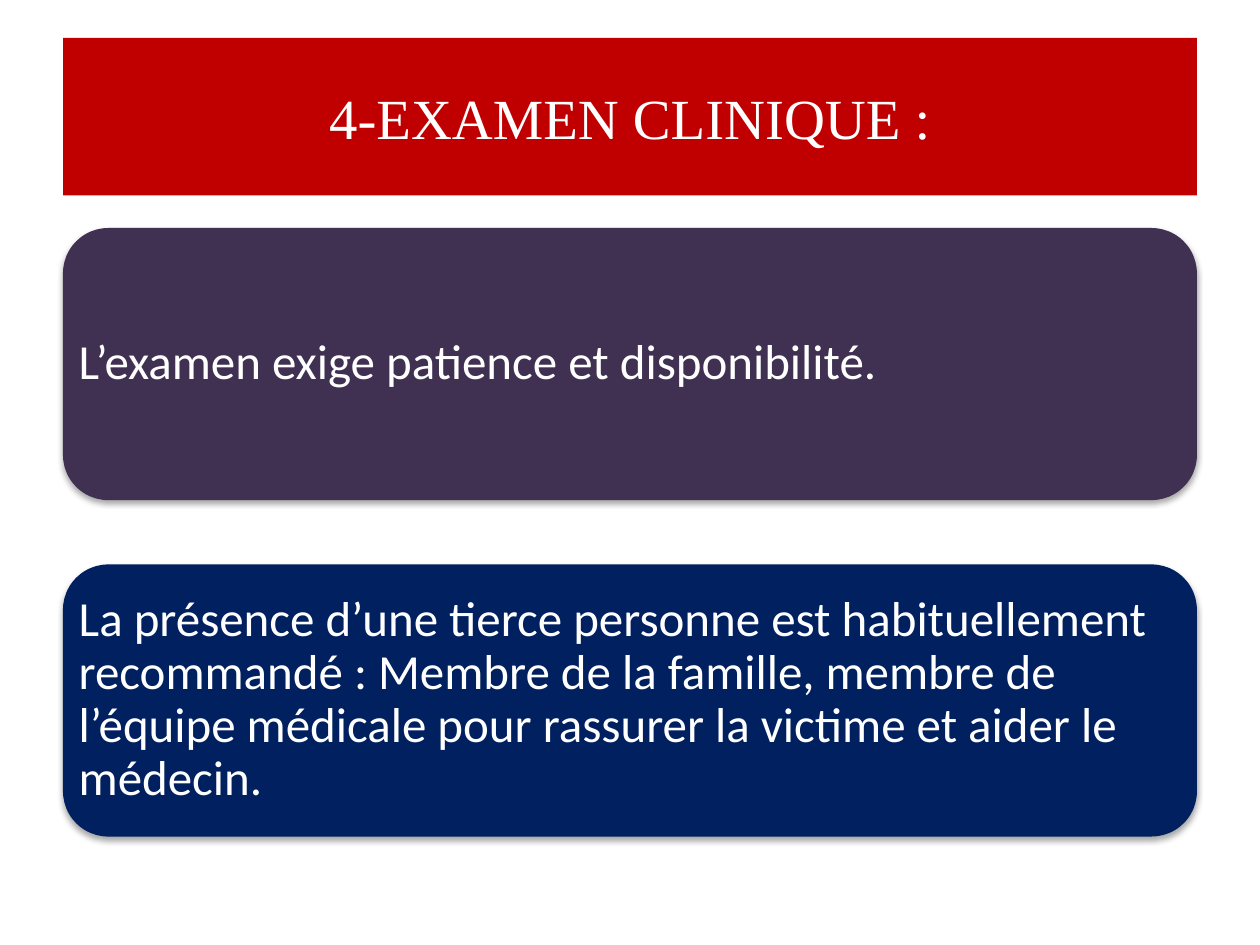
from lxml import etree
from pptx import Presentation
from pptx.dml.color import RGBColor
from pptx.enum.shapes import MSO_SHAPE
from pptx.enum.text import MSO_ANCHOR, PP_ALIGN
from pptx.oxml.ns import qn
from pptx.util import Inches, Pt

ROUNDED = MSO_SHAPE.ROUNDED_RECTANGLE
MIDDLE = MSO_ANCHOR.MIDDLE
LEFT, CENTER = PP_ALIGN.LEFT, PP_ALIGN.CENTER

MARGIN, CONTENT_WIDTH = 0.5, 9
CARD_TOP, CARD_HEIGHT, CARD_GAP = 1.81, 2.16, 0.51
CARDS = [
    ("L’examen exige patience et disponibilité.", "403152"),
    ("La présence d’une tierce personne est habituellement recommandé : "
     "Membre de la famille, membre de l’équipe médicale pour rassurer "
     "la victime et aider le médecin.", "002060"),
]


def color(hex_string):
    return RGBColor.from_string(hex_string)


def write(frame, text, *, font, size, ink="FFFFFF", align=LEFT, spacing=1.0):
    frame.word_wrap = True
    frame.vertical_anchor = MIDDLE
    paragraph = frame.paragraphs[0]
    paragraph.alignment = align
    paragraph.line_spacing = spacing
    run = paragraph.add_run()
    run.text = text
    run.font.name = font
    run.font.size = Pt(size)
    run.font.color.rgb = color(ink)


def add_soft_shadow(shape):
    """Replace the theme shadow with a soft black one falling straight down."""
    shape.shadow.inherit = False
    effects = shape._element.spPr.find(qn("a:effectLst"))
    shadow = etree.SubElement(
        effects, qn("a:outerShdw"), blurRad=str(Pt(3.1)), dist=str(Pt(1.8)),
        dir="5400000", rotWithShape="0")
    black = etree.SubElement(shadow, qn("a:srgbClr"), val="000000")
    etree.SubElement(black, qn("a:alpha"), val="35000")


class SlideBuilder:
    title_font = "Times New Roman"
    body_font = "Calibri"

    def __init__(self, slide):
        self.slide = slide

    def title(self, text, top, height, fill):
        banner = self.slide.shapes.title
        banner.left, banner.top = Inches(MARGIN), Inches(top)
        banner.width, banner.height = Inches(CONTENT_WIDTH), Inches(height)
        banner.fill.solid()
        banner.fill.fore_color.rgb = color(fill)
        write(banner.text_frame, text, font=self.title_font, size=32.4,
              align=CENTER)

    def card(self, text, top, fill):
        card = self.slide.shapes.add_shape(
            ROUNDED, Inches(MARGIN), Inches(top),
            Inches(CONTENT_WIDTH), Inches(CARD_HEIGHT))
        card.fill.solid()
        card.fill.fore_color.rgb = color(fill)
        card.line.fill.background()
        add_soft_shadow(card)
        frame = card.text_frame
        # The rounded corners already inset the text by about 0.1 inch.
        frame.margin_left = frame.margin_right = Inches(0.02)
        frame.margin_top = frame.margin_bottom = Inches(0.02)
        write(frame, text, font=self.body_font, size=28, spacing=0.9)


def main():
    deck = Presentation()
    deck.slide_width, deck.slide_height = Inches(10), Inches(7.5)
    title_only = deck.slide_layouts[5]
    builder = SlideBuilder(deck.slides.add_slide(title_only))

    builder.title("4-EXAMEN CLINIQUE :", top=0.3, height=1.25, fill="C00000")
    for row, (advice, fill) in enumerate(CARDS):
        builder.card(advice, CARD_TOP + row * (CARD_HEIGHT + CARD_GAP), fill)

    deck.save("out.pptx")


if __name__ == "__main__":
    main()
